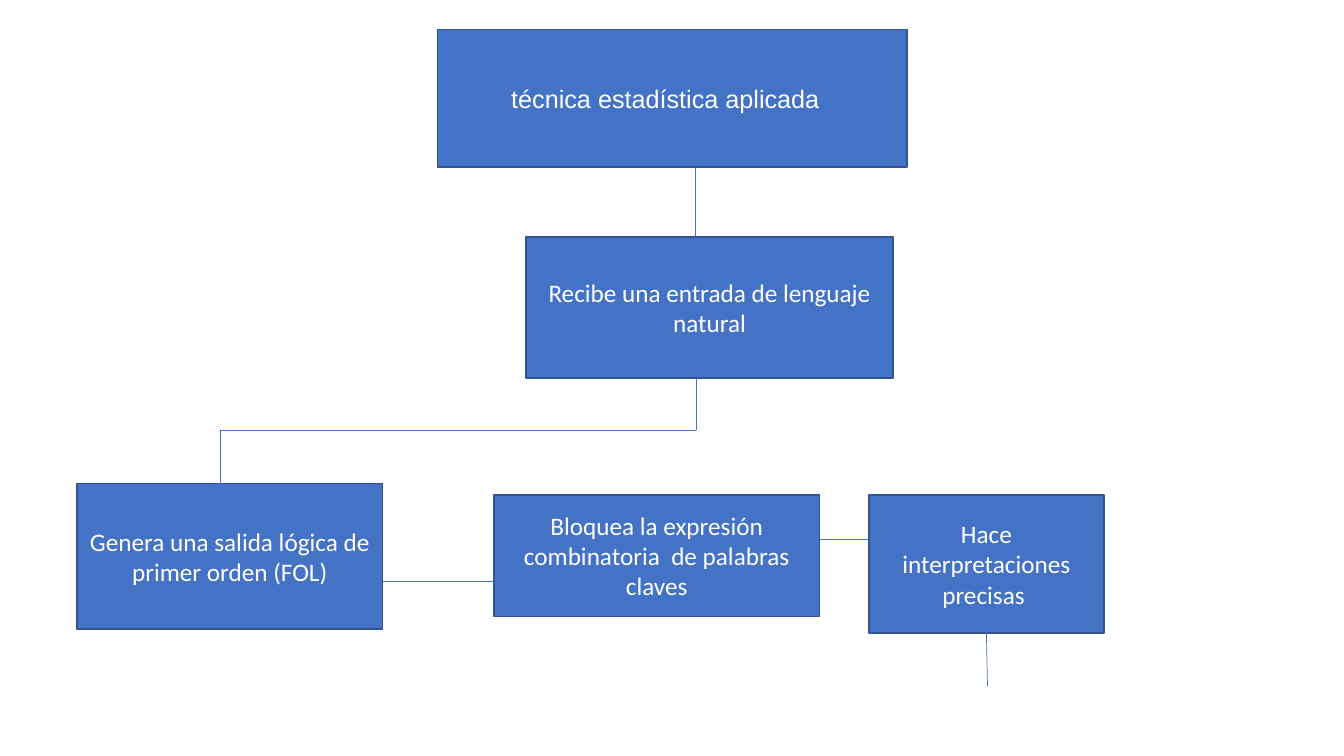
from pptx import Presentation
from pptx.dml.color import RGBColor
from pptx.enum.shapes import MSO_CONNECTOR, MSO_SHAPE
from pptx.enum.text import MSO_ANCHOR, PP_ALIGN
from pptx.oxml.ns import qn
from pptx.util import Pt
from lxml.etree import SubElement

BLUE = RGBColor(0x44, 0x72, 0xC4)
EDGE = RGBColor(0x32, 0x54, 0x91)
WHITE = RGBColor(0xFF, 0xFF, 0xFF)
BOTTOM = 2


def put_text(frame, text, font="Calibri", size=18, color=WHITE, align=PP_ALIGN.CENTER):
    frame.word_wrap = True
    frame.vertical_anchor = MSO_ANCHOR.MIDDLE
    par = frame.paragraphs[0]
    par.alignment = align
    run = par.add_run()
    run.text = text
    run.font.name = font
    run.font.size = Pt(size)
    run.font.color.rgb = color


def add_box(slide, left, top, width, height, text, **style):
    box = slide.shapes.add_shape(
        MSO_SHAPE.RECTANGLE, Pt(left), Pt(top), Pt(width), Pt(height))
    box.shadow.inherit = False
    box.fill.solid()
    box.fill.fore_color.rgb = BLUE
    box.line.color.rgb = EDGE
    box.line.width = Pt(1)
    put_text(box.text_frame, text, **style)
    return box


def add_link(slide, start, end):
    link = slide.shapes.add_connector(
        MSO_CONNECTOR.STRAIGHT, *[Pt(n) for n in (*start, *end)])
    link.line.color.rgb = BLUE
    link.line.width = Pt(0.5)
    SubElement(link._element.spPr, qn("a:effectLst"))
    return link


def main():
    deck = Presentation()
    deck.slide_width, deck.slide_height = Pt(960), Pt(540)
    slide = deck.slides.add_slide(deck.slide_layouts[6])

    add_box(slide, 312.5, 20.9, 335.5, 98.6,
            "técnica estadística aplicada  ", font="Arial")
    add_box(slide, 375.8, 169.2, 262.1, 100.8,
            "Recibe una entrada de lenguaje natural")
    add_box(slide, 54.9, 345.6, 218.4, 103.7,
            "Genera una salida lógica de primer orden (FOL)")
    add_box(slide, 352.8, 353.5, 232.6, 86.8,
            "Bloquea la expresión combinatoria  de palabras claves")
    precise = add_box(slide, 620.6, 353.5, 168, 98.6,
                      "Hace interpretaciones precisas ")

    add_link(slide, (496.8, 119.5), (496.8, 169.2))
    bend = [(497.5, 270), (497.5, 307.4), (157.7, 307.4), (157.7, 345.6)]
    for start, end in zip(bend, bend[1:]):
        add_link(slide, start, end)
    add_link(slide, (273.3, 415.4), (352.8, 415.4))
    add_link(slide, (585.4, 385.2), (620.6, 385.2))
    tail = add_link(slide, (704.6, 452.1), (705.4, 490.3))
    tail.begin_connect(precise, BOTTOM)

    deck.save("out.pptx")


if __name__ == "__main__":
    main()
